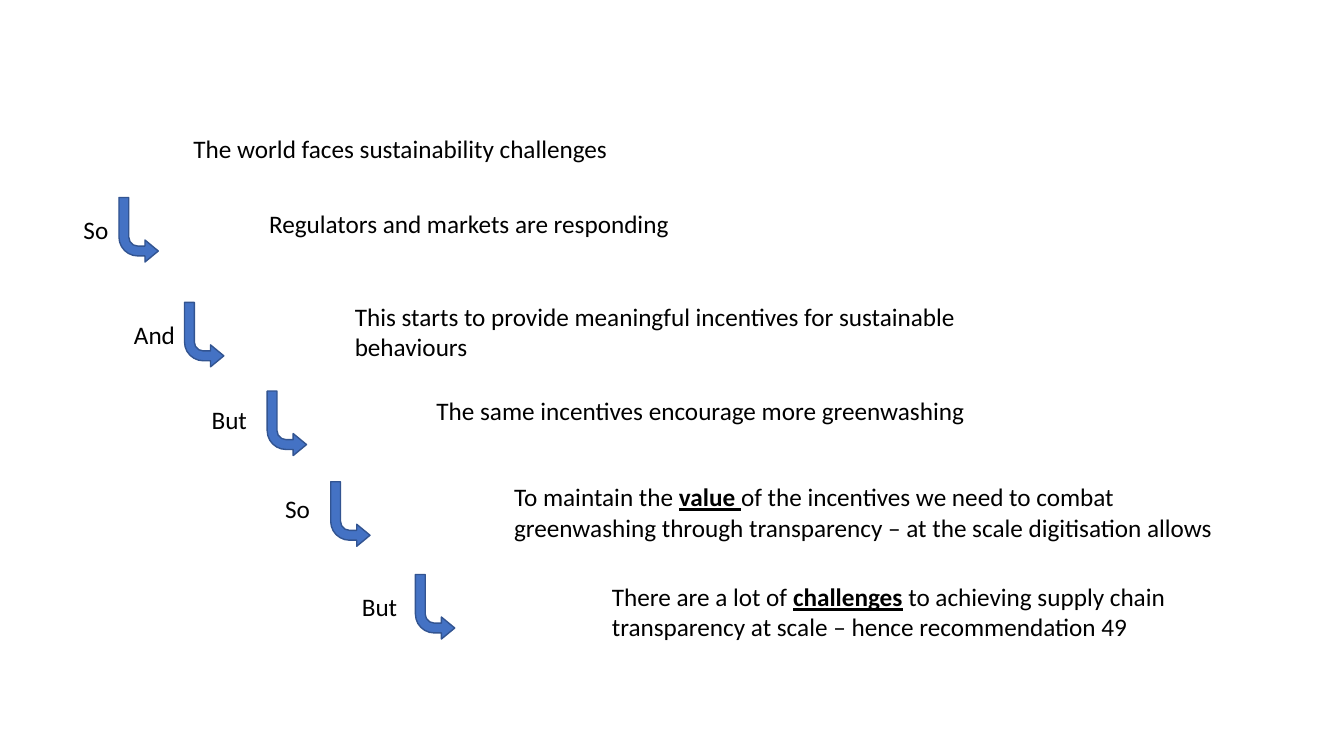
from pptx import Presentation
from pptx.dml.color import RGBColor
from pptx.enum.shapes import MSO_SHAPE
from pptx.enum.text import MSO_AUTO_SIZE
from pptx.oxml.ns import qn
from pptx.util import Inches, Pt

COLORS = {"text": "000000", "arrow": "4472C4", "arrow_line": "325491"}
FONT, SIZE = "Calibri", 18
LINE_H, TWO_LINES_H = 0.4, 0.71
ARROW_W, ARROW_H = 0.39, 0.64
ARROW_ADJUSTMENTS = (0.25, 0.28, 0.339, 0.478)
LINK_WIDTHS = {"So": 0.47, "And": 0.65, "But": 0.65}

# Runs are (text, emphasised); boxes are (left, top, width, height)
OPENING = ([("The world faces sustainability challenges", False)],
           (1.82, 1.27, 4.98, LINE_H))

# (linking word, its left and top, arrow left and top, statement runs, statement box)
STEPS = [
    ("So", (0.73, 2.08), (1.18, 1.96),
     [("Regulators and markets are responding", False)],
     (2.57, 2.02, 6.82, LINE_H)),
    ("And", (1.23, 3.12), (1.83, 3.0),
     [("This starts to provide meaningful incentives for sustainable behaviours", False)],
     (3.42, 2.94, 7.25, TWO_LINES_H)),
    ("But", (2.0, 3.96), (2.65, 3.88),
     [("The same incentives encourage more greenwashing", False)],
     (4.23, 3.87, 7.31, LINE_H)),
    ("So", (2.73, 4.84), (3.28, 4.78),
     [("To maintain the ", False), ("value ", True),
      ("of the incentives we need to combat greenwashing through transparency"
       " – at the scale digitisation allows", False)],
     (5.0, 4.73, 7.31, TWO_LINES_H)),
    ("But", (3.49, 5.82), (4.12, 5.7),
     [("There are a lot of ", False), ("challenges", True),
      (" to achieving supply chain transparency at scale"
       " – hence recommendation 49", False)],
     (5.97, 5.72, 6.82, TWO_LINES_H)),
]


def rgb(name):
    return RGBColor.from_string(COLORS[name])


def add_text(shapes, runs, box):
    tf = shapes.add_textbox(*map(Inches, box)).text_frame
    tf.word_wrap = True
    tf.auto_size = MSO_AUTO_SIZE.SHAPE_TO_FIT_TEXT
    p = tf.paragraphs[0]
    for text, emphasised in runs:
        r = p.add_run()
        r.text = text
        r.font.name, r.font.size = FONT, Pt(SIZE)
        r.font.color.rgb = rgb("text")
        if emphasised:
            r.font.bold = r.font.underline = True


def add_arrow(shapes, left, top):
    """Add a bent arrow flipped to run down and then right."""
    sp = shapes.add_shape(MSO_SHAPE.BENT_ARROW,
                          *map(Inches, (left, top, ARROW_W, ARROW_H)))
    for i, value in enumerate(ARROW_ADJUSTMENTS):
        sp.adjustments[i] = value
    sp._element.spPr.find(qn("a:xfrm")).set("flipV", "1")
    sp.shadow.inherit = False
    sp.fill.solid()
    sp.fill.fore_color.rgb = rgb("arrow")
    sp.line.color.rgb = rgb("arrow_line")
    sp.line.width = Pt(1)


def main():
    prs = Presentation()
    prs.slide_width, prs.slide_height = Inches(13.33), Inches(7.5)
    slide = prs.slides.add_slide(prs.slide_layouts[6])
    add_text(slide.shapes, *OPENING)
    for link, link_at, arrow_at, runs, box in STEPS:
        shapes = slide.shapes.add_group_shape().shapes
        add_text(shapes, runs, box)
        add_arrow(shapes, *arrow_at)
        add_text(shapes, [(link, False)], (*link_at, LINK_WIDTHS[link], LINE_H))
    prs.save("out.pptx")


if __name__ == "__main__":
    main()
